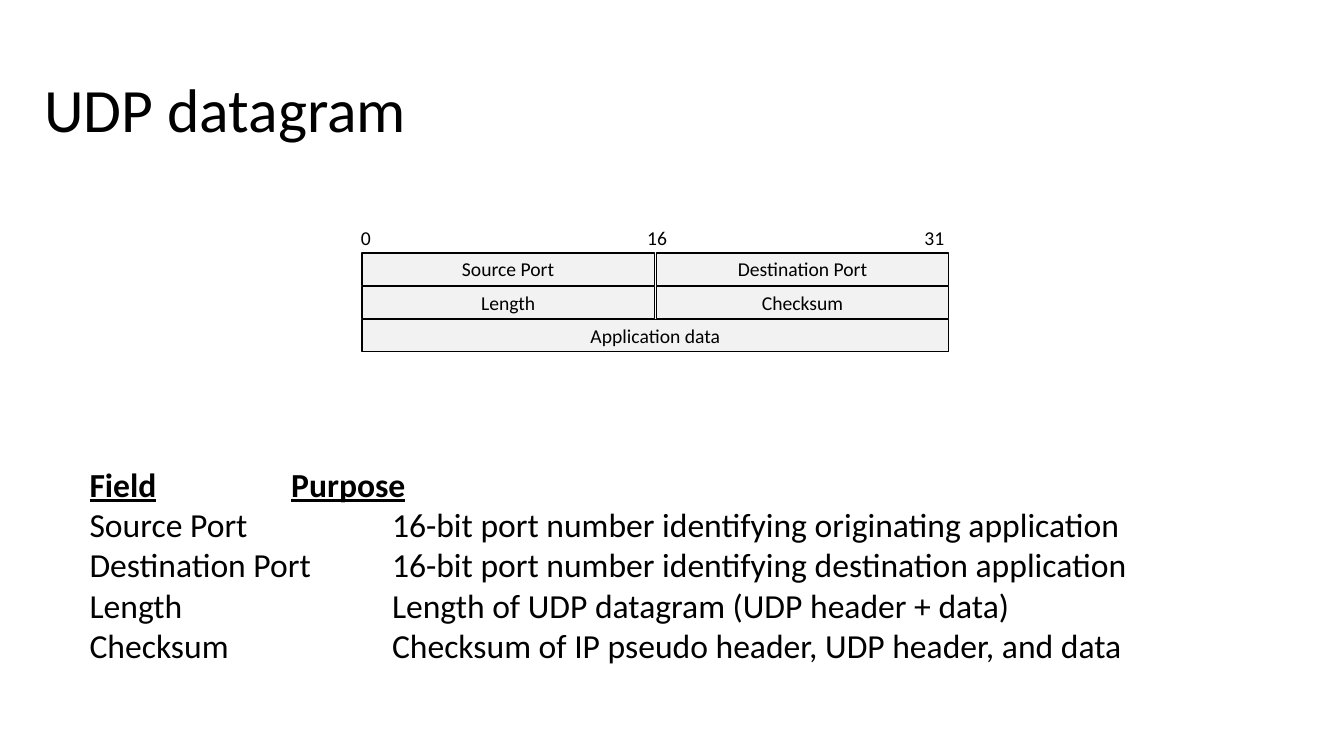
"""Builds the slide on the UDP datagram and its fields."""
from pptx import Presentation, util as u
from pptx.dml.color import RGBColor
from pptx.enum import shapes, text
from pptx.oxml.ns import qn
from lxml import etree

TITLE = "UDP datagram"
FIELDS = [["Source Port", "Destination Port"],
          ["Length", "Checksum"],
          ["Application data"]]
BITS = [("0", 3.48, 0.3), ("16", 6.32, 0.4), ("31", 9.07, 0.4)]
NOTES = [("Field", "Purpose"),
         ("Source Port", "16-bit port number identifying originating application"),
         ("Destination Port", "16-bit port number identifying destination application"),
         ("Length", "Length of UDP datagram (UDP header + data)"),
         ("Checksum", "Checksum of IP pseudo header, UDP header, and data")]
LEFT, TOP, WIDTH, GAP = 3.59, 2.51, 5.82, 0.02
PITCH, HIGH = 0.33, 0.32
HEAD_TAB, ROW_TAB = 2, 3


def color(code):
    return RGBColor.from_string(code)


def style(par, size):
    par.font.size = u.Pt(size)
    par.font.name = "Calibri"
    par.font.color.rgb = color("000000")


def cell(slide, label, *box):
    rect = slide.shapes.add_shape(shapes.MSO_SHAPE.RECTANGLE, *map(u.Inches, box))
    rect.shadow.inherit = False
    rect.fill.solid()
    rect.fill.fore_color.rgb = color("F2F2F2")
    rect.line.color.rgb = color("000000")
    rect.line.width = u.Pt(1)
    frame = rect.text_frame
    frame.text = label
    frame.word_wrap = False
    frame.vertical_anchor = text.MSO_ANCHOR.MIDDLE
    par = frame.paragraphs[0]
    par.alignment = text.PP_ALIGN.CENTER
    style(par, 14)


def label(slide, words, *box):
    frame = slide.shapes.add_textbox(*map(u.Inches, box)).text_frame
    frame.text = words
    frame.word_wrap = False
    frame.auto_size = text.MSO_AUTO_SIZE.SHAPE_TO_FIT_TEXT
    return frame.paragraphs


def add_tab(par, inches):
    stops = etree.SubElement(par._p.get_or_add_pPr(), qn("a:tabLst"))
    etree.SubElement(stops, qn("a:tab"), pos=str(u.Inches(inches)), algn="l")


def main():
    deck = Presentation()
    deck.slide_width, deck.slide_height = u.Inches(13.33), u.Inches(7.5)
    slide = deck.slides.add_slide(deck.slide_layouts[5])

    title = slide.shapes.title
    title.left, title.top, title.width, title.height = map(
        u.Inches, (0.34, 0.05, 11.5, 1.45))
    title.text_frame.text = TITLE
    title.text_frame.vertical_anchor = text.MSO_ANCHOR.BOTTOM
    par = title.text_frame.paragraphs[0]
    par.alignment = text.PP_ALIGN.LEFT
    par.line_spacing = 0.9
    style(par, 44)

    for row, names in enumerate(FIELDS):
        wide = (WIDTH - GAP * (len(names) - 1)) / len(names)
        for col, name in enumerate(names):
            cell(slide, name, LEFT + col * (wide + GAP), TOP + row * PITCH, wide, HIGH)

    for bit, left, wide in BITS:
        style(label(slide, bit, left, 2.19, wide, 0.34)[0], 14)

    lines = "\n".join("\t".join(pair) for pair in NOTES)
    for row, par in enumerate(label(slide, lines, 0.79, 4.55, 10.6, 2.12)):
        add_tab(par, ROW_TAB if row else HEAD_TAB)
        style(par, 24)
        par.font.bold = par.font.underline = row == 0

    deck.save("out.pptx")


if __name__ == "__main__":
    main()
